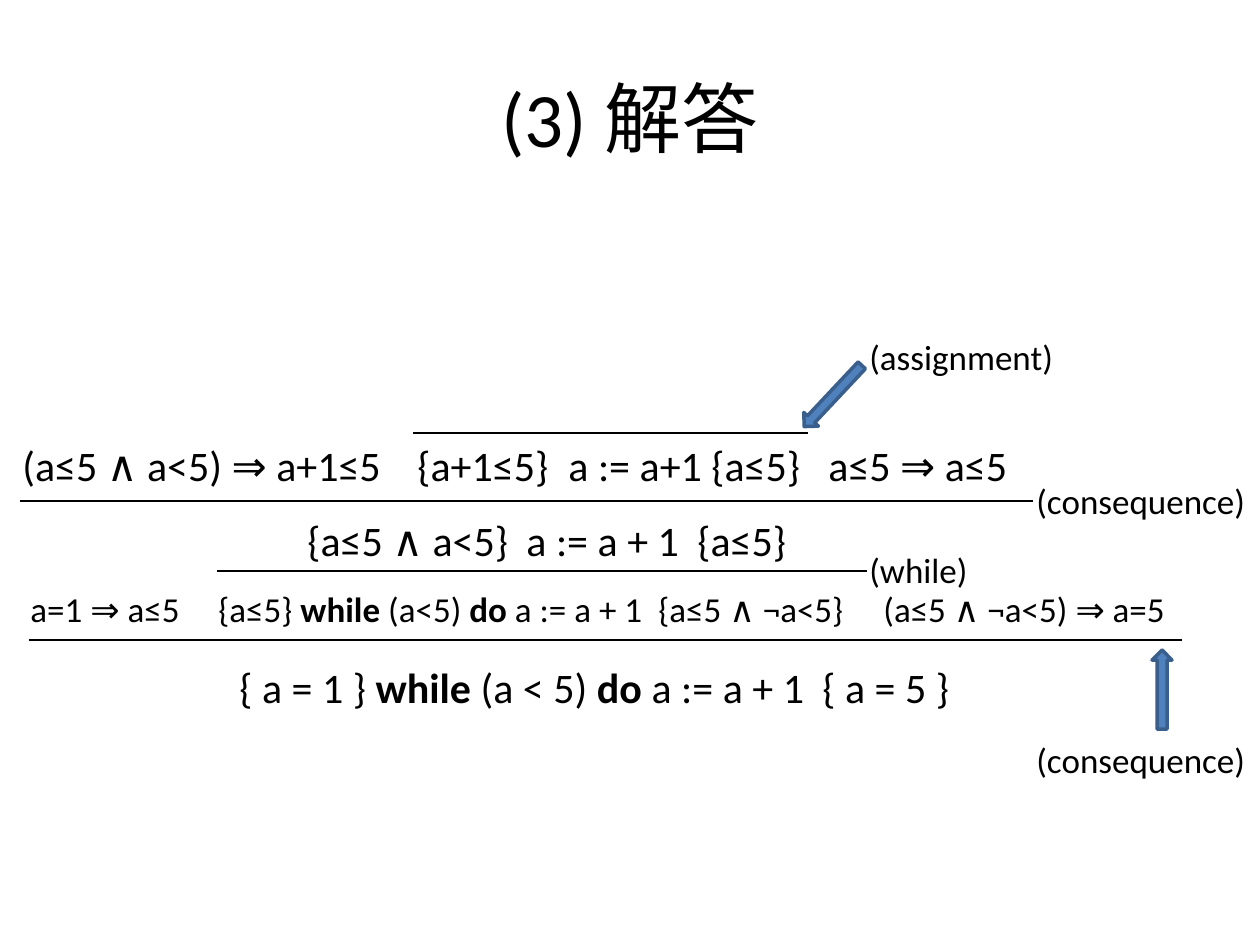
"""Build the answer slide showing a proof tree for a while loop."""
from lxml import etree
from pptx import Presentation
from pptx.dml.color import RGBColor
from pptx.enum.shapes import MSO_CONNECTOR, MSO_SHAPE
from pptx.enum.text import MSO_ANCHOR, MSO_AUTO_SIZE, PP_ALIGN
from pptx.oxml.ns import qn
from pptx.util import Emu, Pt

STRAIGHT = MSO_CONNECTOR.STRAIGHT
DOWN_ARROW = MSO_SHAPE.DOWN_ARROW
MIDDLE = MSO_ANCHOR.MIDDLE
FIT_TEXT = MSO_AUTO_SIZE.SHAPE_TO_FIT_TEXT
CENTER = PP_ALIGN.CENTER
EMU_PER_PX = 914400 / 126

THEME = {
    "font": "Calibri",
    "background": RGBColor(0xFF, 0xFF, 0xFF),
    "ink": RGBColor(0x00, 0x00, 0x00),
    "arrow": RGBColor(0x4F, 0x81, 0xBD),
    "arrow_edge": RGBColor(0x3A, 0x5F, 0x8C),
    "title": Pt(44),
    "formula": Pt(24),
    "small": Pt(20),
    "rule_width": Pt(0.75),
    "edge_width": Pt(2),
}


def px(*lengths):
    return [Emu(round(length * EMU_PER_PX)) for length in lengths]


def write(para, pieces, size):
    for words, bold in pieces:
        span = para.add_run()
        span.text = words
        span.font.color.rgb = THEME["ink"]
        for name, value in {"name": THEME["font"], "size": size, "bold": bold}.items():
            setattr(span.font, name, value)


deck = Presentation()
deck.slide_width, deck.slide_height = px(1260, 945)
page = deck.slides.add_slide(deck.slide_layouts[5])
page.background.fill.solid()
page.background.fill.fore_color.rgb = THEME["background"]

title = page.shapes.title
title.left, title.top, title.width, title.height = px(63, 38, 1134, 157)
title.text_frame.vertical_anchor = MIDDLE
title.text_frame.paragraphs[0].alignment = CENTER
write(title.text_frame.paragraphs[0], [("(3) 解答", False)], THEME["title"])

formulas = [
    ((10, 433, 1075, 63), "formula", (395, 546, 806),
     [("(a≤5 ∧ a<5) ⇒ a+1≤5\t{a+1≤5}\ta := a+1 {a≤5}\ta≤5 ⇒ a≤5", False)]),
    ((295, 508, 561, 63), "formula", (219, 390),
     [("{a≤5 ∧ a<5}\ta := a + 1\t{a≤5}", False)]),
    ((18, 581, 1193, 55), "small", (188, 628, 853),
     [("a=1 ⇒ a≤5\t{a≤5} ", False), ("while", True), (" (a<5) ", False), ("do", True),
      (" a := a + 1\t{a≤5 ∧ ¬a<5}\t(a≤5 ∧ ¬a<5) ⇒ a=5", False)]),
    ((227, 655, 767, 63), "formula", (583,),
     [("{ a = 1 } ", False), ("while", True), (" (a < 5) ", False), ("do", True),
      (" a := a + 1\t{ a = 5 }", False)]),
]
rule_names = [
    ((857, 329, 212, 55), "(assignment)"),
    ((1024, 473, 237, 55), "(consequence)"),
    ((857, 542, 125, 55), "(while)"),
    ((1024, 732, 237, 55), "(consequence)"),
]
texts = [(*formula, True) for formula in formulas]
texts += [(place, "small", (), [(name, False)], False) for place, name in rule_names]
for place, size, stops, pieces, wrap in texts:
    box = page.shapes.add_textbox(*px(*place))
    for name, value in {"word_wrap": wrap, "auto_size": FIT_TEXT}.items():
        setattr(box.text_frame, name, value)
    para = box.text_frame.paragraphs[0]
    if stops:
        tabs = etree.SubElement(para._p.get_or_add_pPr(), qn("a:tabLst"))
        for stop in px(*stops):
            etree.SubElement(tabs, qn("a:tab"), pos=str(stop), algn="l")
    write(para, pieces, THEME[size])

for left, right, height in [(413, 808, 433), (20, 1033, 501), (217, 867, 571), (29, 1182, 640)]:
    rule = page.shapes.add_connector(STRAIGHT, *px(left, height, right, height))
    rule.line.color.rgb = THEME["ink"]
    rule.line.width = THEME["rule_width"]
    etree.SubElement(rule._element.spPr, qn("a:effectLst"))

for place, rotation in [((823, 354, 20, 84), 43.2), ((1152, 650, 20, 79), 180)]:
    arrow = page.shapes.add_shape(DOWN_ARROW, *px(*place))
    arrow.rotation = rotation
    arrow.shadow.inherit = False
    arrow.fill.solid()
    arrow.fill.fore_color.rgb = THEME["arrow"]
    arrow.line.color.rgb = THEME["arrow_edge"]
    arrow.line.width = THEME["edge_width"]

deck.save("out.pptx")
